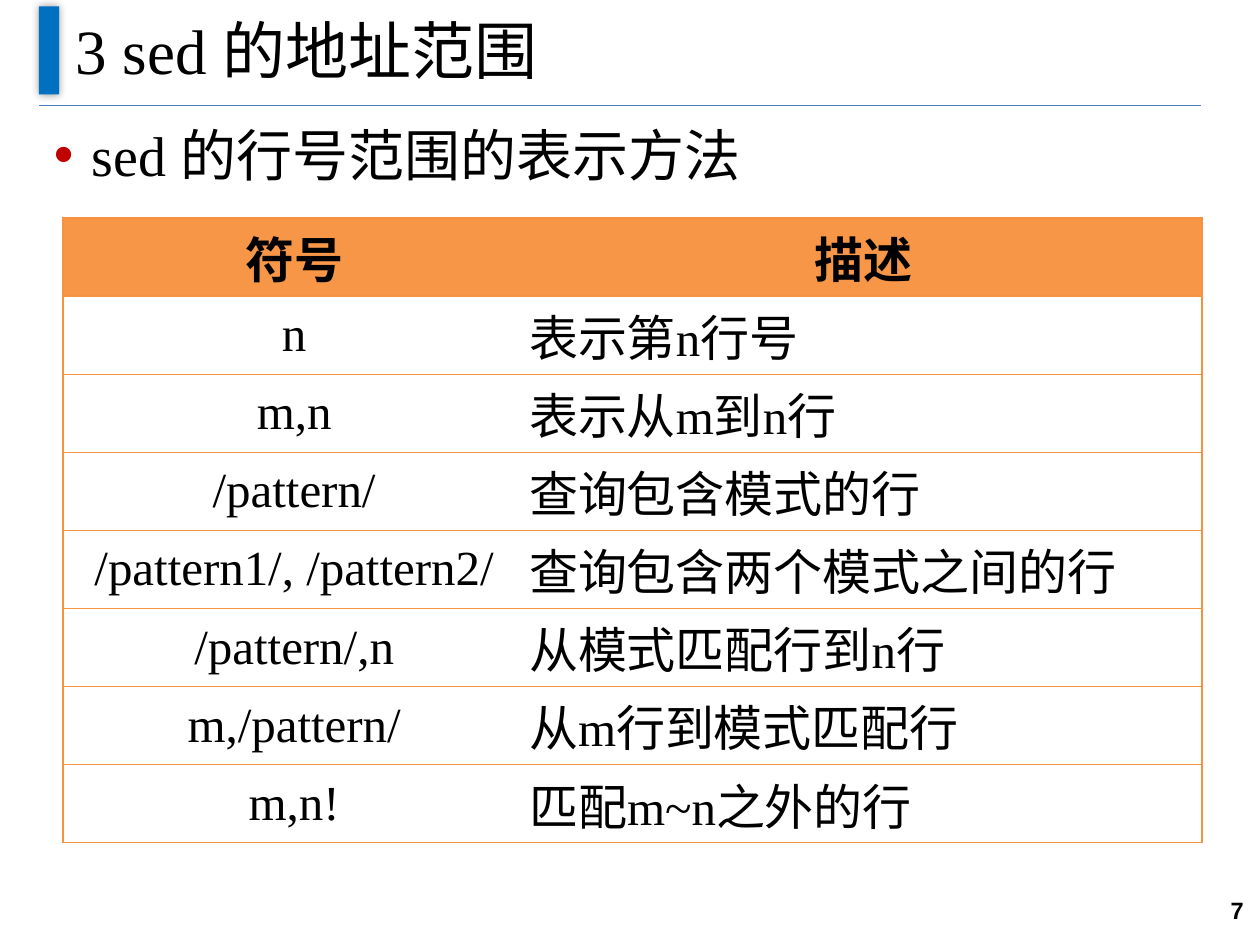
"""Build a slide on the address ranges of sed, with a table of symbols."""
from lxml.etree import SubElement
from pptx import Presentation
from pptx.dml.color import RGBColor
from pptx.enum.shapes import MSO_CONNECTOR, MSO_SHAPE
from pptx.enum.text import MSO_ANCHOR, PP_ALIGN
from pptx.oxml import parse_xml
from pptx.oxml.ns import nsdecls, qn
from pptx.util import Inches, Pt

COLORS = {
    "text": "000000",
    "bar": "0070C0",
    "rule": "4B7EBC",
    "bullet": "C00000",
    "header": "F79646",
    "border": "F69240",
}
ROWS = [
    ("符号", "描述"),
    ("n", "表示第n行号"),
    ("m,n", "表示从m到n行"),
    ("/pattern/", "查询包含模式的行"),
    ("/pattern1/, /pattern2/", "查询包含两个模式之间的行"),
    ("/pattern/,n", "从模式匹配行到n行"),
    ("m,/pattern/", "从m行到模式匹配行"),
    ("m,n!", "匹配m~n之外的行"),
]
COLUMN_WIDTHS = (3.67, 5.37)
ROW_HEIGHT = 0.62


def write(frame, text, size, align, font="Times New Roman", bold=False, space=0):
    """Put one formatted paragraph into a text frame and return it."""
    frame.word_wrap = True
    para = frame.paragraphs[0]
    para.alignment = align
    para.space_before = para.space_after = Pt(space)
    span = para.add_run()
    span.text = text
    formats = {"name": font, "size": Pt(size), "bold": bold}
    for name, value in formats.items():
        setattr(span.font, name, value)
    span.font.color.rgb = RGBColor.from_string(COLORS["text"])
    return para


def add_border(cell, side, visible):
    """Add one border to a table cell, or switch it off."""
    fill = (
        f'<a:solidFill><a:srgbClr val="{COLORS["border"]}"/></a:solidFill>'
        if visible
        else "<a:noFill/>"
    )
    properties = cell._tc.get_or_add_tcPr()
    properties.append(
        parse_xml(f'<a:ln{side} {nsdecls("a")} w="{Pt(0.75)}">{fill}</a:ln{side}>')
    )


deck = Presentation()
deck.slide_width, deck.slide_height = Inches(10), Inches(7.5)
page = deck.slides.add_slide(deck.slide_layouts[5])

rule = page.shapes.add_connector(
    MSO_CONNECTOR.STRAIGHT, Inches(0.31), Inches(0.84), Inches(9.53), Inches(0.84)
)
rule.line.color.rgb = RGBColor.from_string(COLORS["rule"])
rule.line.width = Pt(0.75)
SubElement(rule._element.spPr, qn("a:effectLst"))

bar = page.shapes.add_shape(
    MSO_SHAPE.RECTANGLE, Inches(0.31), Inches(0.05), Inches(0.16), Inches(0.7)
)
bar.fill.solid()
bar.fill.fore_color.rgb = RGBColor.from_string(COLORS["bar"])
bar.line.fill.background()
bar.shadow.inherit = False
bar._element.spPr.find(qn("a:effectLst")).append(
    parse_xml(
        f'<a:outerShdw {nsdecls("a")} blurRad="{Pt(5)}" dist="0" dir="0">'
        '<a:srgbClr val="000000"><a:alpha val="40000"/></a:srgbClr></a:outerShdw>'
    )
)

title = page.shapes.title
title_place = {"left": 0.5, "top": -0.03, "width": 9, "height": 0.84}
for name, value in title_place.items():
    setattr(title, name, Inches(value))
title.text_frame.vertical_anchor = MSO_ANCHOR.MIDDLE
write(title.text_frame, "3 sed 的地址范围", 36, PP_ALIGN.LEFT)

body = page.shapes.add_textbox(Inches(0.33), Inches(0.91), Inches(9.18), Inches(0.75))
para = write(body.text_frame, "sed 的行号范围的表示方法", 32, PP_ALIGN.JUSTIFY, space=4.5)
properties = para._p.get_or_add_pPr()
properties.set("marL", str(Inches(0.3)))
properties.set("indent", str(-Inches(0.3)))
bullet_color = SubElement(properties, qn("a:buClr"))
SubElement(bullet_color, qn("a:srgbClr"), val=COLORS["bullet"])
SubElement(properties, qn("a:buFont"), typeface="Arial")
SubElement(properties, qn("a:buChar"), char="•")

table = page.shapes.add_table(
    len(ROWS), len(COLUMN_WIDTHS), Inches(0.5), Inches(1.73),
    Inches(sum(COLUMN_WIDTHS)), Inches(ROW_HEIGHT * len(ROWS)),
).table
table.horz_banding = False
for column, width in zip(table.columns, COLUMN_WIDTHS):
    column.width = Inches(width)

for row_index, texts in enumerate(ROWS):
    is_header = row_index == 0
    table.rows[row_index].height = Inches(ROW_HEIGHT)
    for column_index, text in enumerate(texts):
        cell = table.cell(row_index, column_index)
        is_first = column_index == 0
        for side in "LRTB":
            visible = {"L": is_first, "R": not is_first}.get(side, True)
            add_border(cell, side, visible)
        if is_header:
            cell.fill.solid()
            cell.fill.fore_color.rgb = RGBColor.from_string(COLORS["header"])
        else:
            cell.fill.background()
        cell.vertical_anchor = MSO_ANCHOR.MIDDLE
        for edge in ("left", "right", "top", "bottom"):
            setattr(cell, f"margin_{edge}", Inches(0.03))
        align = PP_ALIGN.CENTER if is_header or is_first else PP_ALIGN.LEFT
        write(cell.text_frame, text, 28, align, bold=is_header, space=7.5)

number = page.shapes.add_textbox(Inches(9.04), Inches(6.95), Inches(0.93), Inches(0.55))
number.text_frame.vertical_anchor = MSO_ANCHOR.MIDDLE
write(number.text_frame, "7", 13.5, PP_ALIGN.RIGHT, font="Arial", bold=True)

deck.save("out.pptx")
